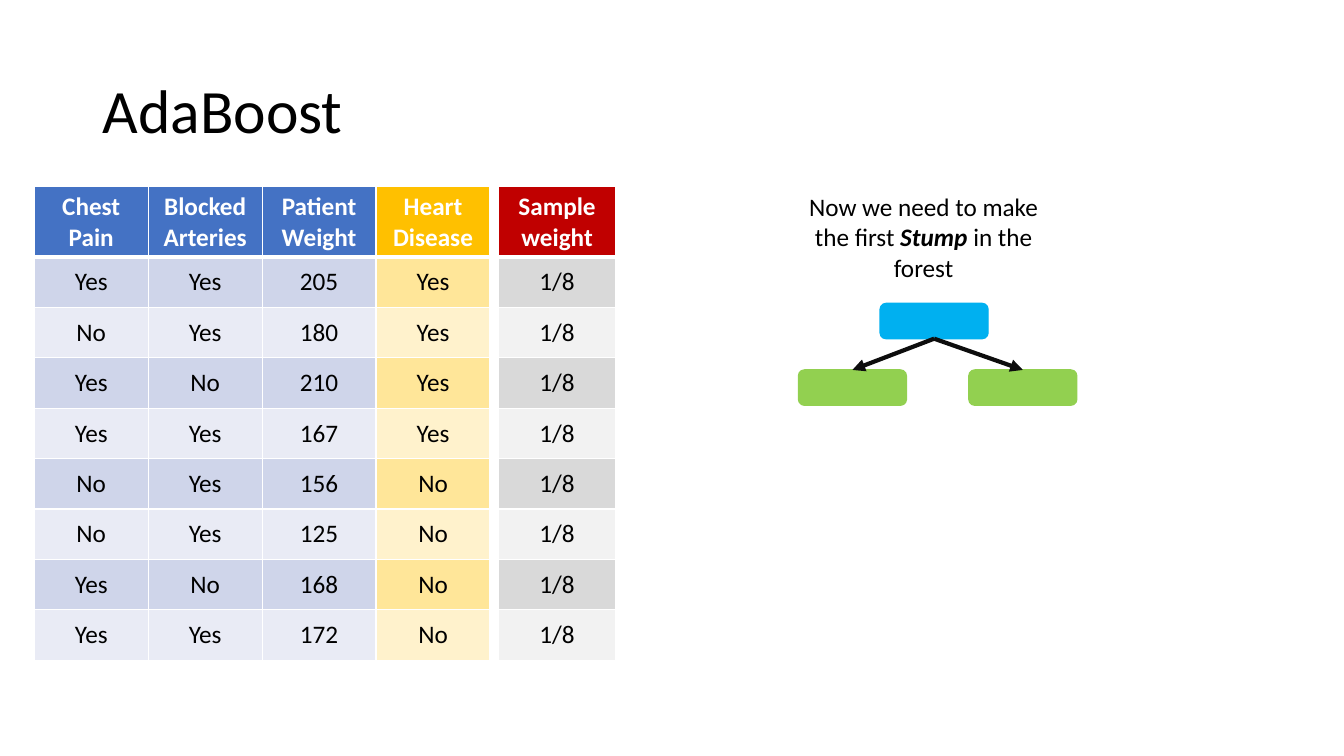
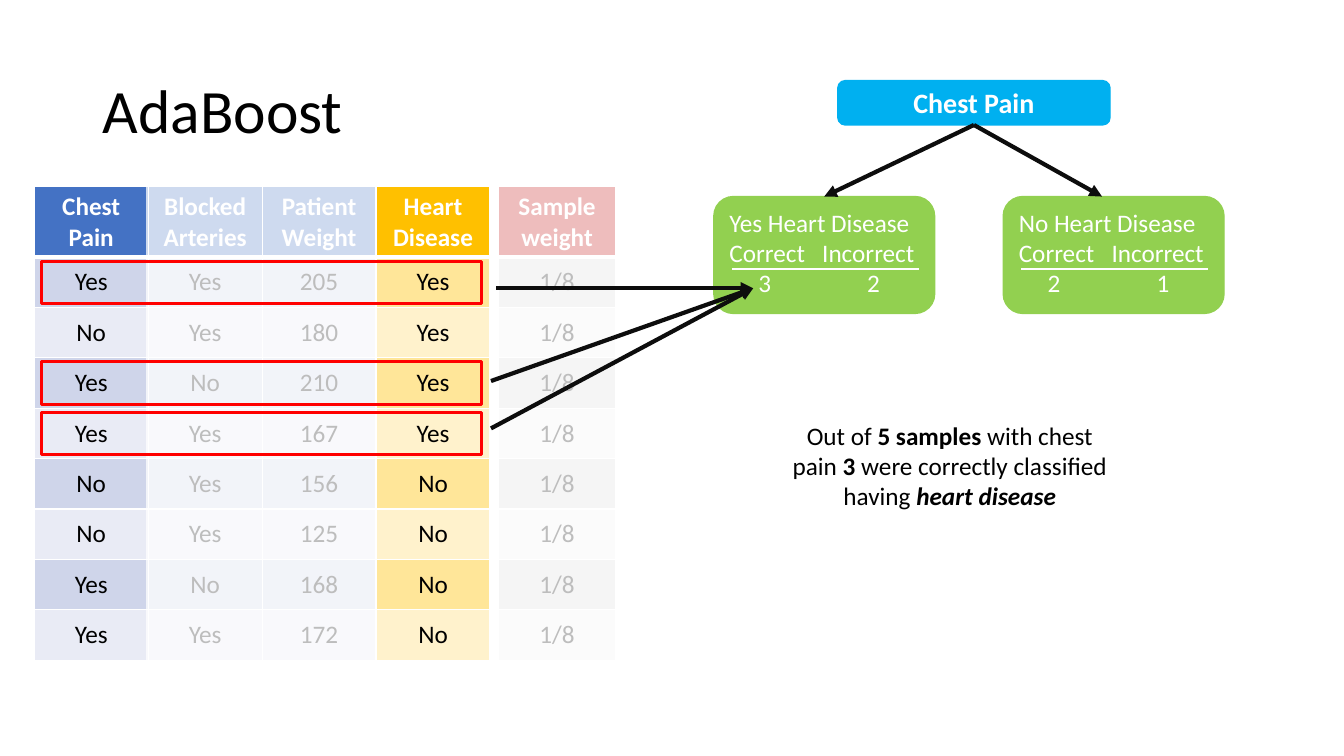
from dataclasses import dataclass
from lxml.etree import SubElement
from pptx import Presentation
from pptx.dml.color import RGBColor
from pptx.enum.shapes import MSO_CONNECTOR, MSO_SHAPE
from pptx.enum.text import MSO_ANCHOR, PP_ALIGN
from pptx.oxml.ns import qn
from pptx.util import Inches, Pt


@dataclass(frozen=True)
class Theme:
    font: str = "Calibri"
    title: int = 44
    root: int = 20
    body: int = 18
    black: str = "000000"
    white: str = "FFFFFF"
    blue: str = "4472C4"
    gold: str = "FFC000"
    crimson: str = "C00000"
    blue_bands: tuple = ("CFD5EA", "E9EBF5")
    gold_bands: tuple = ("FFE699", "FFF2CC")
    grey_bands: tuple = ("D9D9D9", "F2F2F2")
    sky: str = "00B0F0"
    green: str = "92D050"
    arrow: str = "0D0D0D"
    red: str = "FF0000"


T = Theme()

TABLE_TOP, HEAD_H, ROW_H = 1.85, 0.69, 0.5
# Each column: heading, heading fill, band fills, values
PATIENT_COLUMNS = [
    ("Chest Pain", T.blue, T.blue_bands,
     ["Yes", "No", "Yes", "Yes", "No", "No", "Yes", "Yes"]),
    ("Blocked\nArteries", T.blue, T.blue_bands,
     ["Yes", "Yes", "No", "Yes", "Yes", "Yes", "No", "Yes"]),
    ("Patient Weight", T.blue, T.blue_bands,
     ["205", "180", "210", "167", "156", "125", "168", "172"]),
    ("Heart Disease", T.gold, T.gold_bands, ["Yes"] * 4 + ["No"] * 4),
]
WEIGHT_COLUMNS = [("Sample weight", T.crimson, T.grey_bands, ["1/8"] * 8)]


def rgb(color):
    return RGBColor.from_string(color)


def add_run(p, text, size=T.body, color=T.black, bold=False, italic=False):
    r = p.add_run()
    r.text = text
    f = r.font
    f.name, f.size, f.bold, f.italic = T.font, Pt(size), bold, italic
    f.color.rgb = rgb(color)


def add_text(s, box, runs, align=PP_ALIGN.CENTER):
    """Add a one-paragraph text box; each run is (text, format options)."""
    tf = s.shapes.add_textbox(*map(Inches, box)).text_frame
    tf.word_wrap = True
    p = tf.paragraphs[0]
    p.alignment = align
    for text, options in runs:
        add_run(p, text, **options)
    return tf


def add_title(s, box):
    tf = add_text(s, box, [("AdaBoost", {"size": T.title})], PP_ALIGN.LEFT)
    tf.vertical_anchor = MSO_ANCHOR.MIDDLE
    tf.paragraphs[0].line_spacing = 0.9


def add_box(s, kind, box, fill=None, line=None, width=1.0, alpha=None):
    sp = s.shapes.add_shape(kind, *map(Inches, box))
    sp.shadow.inherit = False
    if fill:
        sp.fill.solid()
        sp.fill.fore_color.rgb = rgb(fill)
    else:
        sp.fill.background()
    if alpha:
        color = sp.fill._xPr.find(qn("a:solidFill"))[0]
        SubElement(color, qn("a:alpha"), val=str(alpha * 1000))
    if line:
        sp.line.color.rgb = rgb(line)
        sp.line.width = Pt(width)
    else:
        sp.line.fill.background()
    return sp


def add_line(s, start, end, color=T.arrow, width=3, arrow=True):
    c = s.shapes.add_connector(MSO_CONNECTOR.STRAIGHT,
                               *map(Inches, (*start, *end)))
    c.line.color.rgb = rgb(color)
    c.line.width = Pt(width)
    if arrow:
        SubElement(c.line._get_or_add_ln(), qn("a:tailEnd"), type="triangle")
    SubElement(c._element.spPr, qn("a:effectLst"))
    return c


def set_cell(cell, text, fill, heading):
    cell.vertical_anchor = MSO_ANCHOR.MIDDLE
    tf = cell.text_frame
    for i, part in enumerate(text.split("\n")):
        p = tf.add_paragraph() if i else tf.paragraphs[0]
        p.alignment = PP_ALIGN.CENTER
        add_run(p, part, color=T.white if heading else T.black, bold=heading)
    tc_pr = cell._tc.get_or_add_tcPr()
    for side in ("L", "R", "T", "B"):
        width = 3 if heading and side == "B" else 1
        ln = SubElement(tc_pr, qn(f"a:ln{side}"), w=str(Pt(width)))
        solid = SubElement(ln, qn("a:solidFill"))
        SubElement(solid, qn("a:srgbClr"), val=T.white)
    cell.fill.solid()
    cell.fill.fore_color.rgb = rgb(fill)


def add_column_table(s, left, top, col_w, columns):
    rows = len(columns[0][3]) + 1
    table = s.shapes.add_table(
        rows, len(columns), Inches(left), Inches(top),
        Inches(col_w * len(columns)), Inches(HEAD_H + ROW_H * (rows - 1))).table
    table.first_row = table.horz_banding = False
    for i, row in enumerate(table.rows):
        row.height = Inches(ROW_H if i else HEAD_H)
    for j, (heading, head_fill, bands, values) in enumerate(columns):
        table.columns[j].width = Inches(col_w)
        set_cell(table.cell(0, j), heading, head_fill, True)
        for i, value in enumerate(values):
            set_cell(table.cell(i + 1, j), value, bands[i % 2], False)


def add_data_slide(prs):
    """Start a slide with the title and both sample tables."""
    s = prs.slides.add_slide(prs.slide_layouts[6])
    add_title(s, (0.92, 0.4, 6.82, 1.45))
    add_column_table(s, 0.34, TABLE_TOP, 1.13, PATIENT_COLUMNS)
    add_column_table(s, 4.94, TABLE_TOP, 1.17, WEIGHT_COLUMNS)
    return s


def add_stump(s, box, root_dx, root_size, leaf_size, right_tip=None):
    """Draw a root and two leaves inside box; right_tip is an off-centre
    arrow tip measured from the left of the right leaf."""
    x, y, w, h = box
    leaf_w, leaf_h = leaf_size
    leaf_y = y + h - leaf_h
    root = add_box(s, MSO_SHAPE.ROUNDED_RECTANGLE,
                   (x + root_dx, y, *root_size), T.sky, T.sky)
    leaves = []
    for leaf_x, tip in ((x, None), (x + w - leaf_w, right_tip)):
        leaf = add_box(s, MSO_SHAPE.ROUNDED_RECTANGLE,
                       (leaf_x, leaf_y, *leaf_size), T.green, T.green)
        start = (x + root_dx + root_size[0] / 2, y + root_size[1])
        arrow = add_line(s, start, (leaf_x + (tip or leaf_w / 2), leaf_y))
        arrow.begin_connect(root, 2)
        if tip is None:
            arrow.end_connect(leaf, 0)
        leaves.append(leaf)
    return root, leaves


def set_tabs(p, stops):
    tabs = SubElement(p._p.get_or_add_pPr(), qn("a:tabLst"))
    for pos, align in stops:
        SubElement(tabs, qn("a:tab"), pos=str(Inches(pos)), algn=align)


def fill_leaf(s, leaf, heading, correct, incorrect):
    """Write a leaf's heading and counts, with a rule above the counts."""
    tf = leaf.text_frame
    tf.vertical_anchor = MSO_ANCHOR.TOP
    lines = [(heading, []),
             ("Correct\tIncorrect", [(0.92, "l")]),
             (f"\t{correct}\t{incorrect}", [(0.35, "ctr"), (1.43, "ctr")])]
    for i, (text, stops) in enumerate(lines):
        p = tf.add_paragraph() if i else tf.paragraphs[0]
        p.alignment = PP_ALIGN.LEFT
        if stops:
            set_tabs(p, stops)
        add_run(p, text, color=T.white)
    x, y = leaf.left.inches + 0.18, leaf.top.inches + 0.72
    add_line(s, (x, y), (x + 1.85, y), T.white, 1, arrow=False)


def add_first_stump_slide(prs):
    s = add_data_slide(prs)
    add_text(s, (7.92, 1.85, 2.48, 1.01), [
        ("Now we need to make the first", {}),
        (" Stump ", {"bold": True, "italic": True}),
        ("in the forest", {})])
    add_stump(s, (7.92, 3.01, 2.76, 1.01), 0.81, (1.07, 0.35), (1.07, 0.35))


def add_chest_pain_slide(prs):
    s = add_data_slide(prs)
    root, leaves = add_stump(s, (7.08, 0.8, 5.06, 2.31), 1.23,
                             (2.7, 0.44), (2.19, 1.16), right_tip=0.98)
    p = root.text_frame.paragraphs[0]
    p.alignment = PP_ALIGN.CENTER
    add_run(p, "Chest Pain", T.root, T.white, bold=True)
    fill_leaf(s, leaves[0], "Yes Heart Disease", 3, 2)
    fill_leaf(s, leaves[1], "No Heart Disease", 2, 1)

    for veil in ((1.45, 1.75, 2.28, 4.89), (4.9, 1.66, 1.3, 4.89)):
        add_box(s, MSO_SHAPE.RECTANGLE, veil, T.white, alpha=74)
    for row in (0, 2, 3):
        y = TABLE_TOP + HEAD_H + ROW_H * row + 0.05
        add_box(s, MSO_SHAPE.RECTANGLE, (0.41, y, 4.37, 0.42),
                line=T.red, width=2.25)

    bold = {"bold": True}
    add_text(s, (7.73, 4.12, 3.38, 1.01), [
        ("Out of ", {}), ("5 samples ", bold), ("with chest pain ", {}),
        ("3", bold), (" were correctly classified having ", {}),
        ("heart disease", {"bold": True, "italic": True})])
    for start in ((4.92, 2.86), (4.87, 3.78), (4.87, 4.25)):
        add_line(s, start, (7.47, 2.86))


def main():
    prs = Presentation()
    prs.slide_width, prs.slide_height = Inches(13.33), Inches(7.5)
    add_first_stump_slide(prs)
    add_chest_pain_slide(prs)
    prs.save("out.pptx")


if __name__ == "__main__":
    main()
